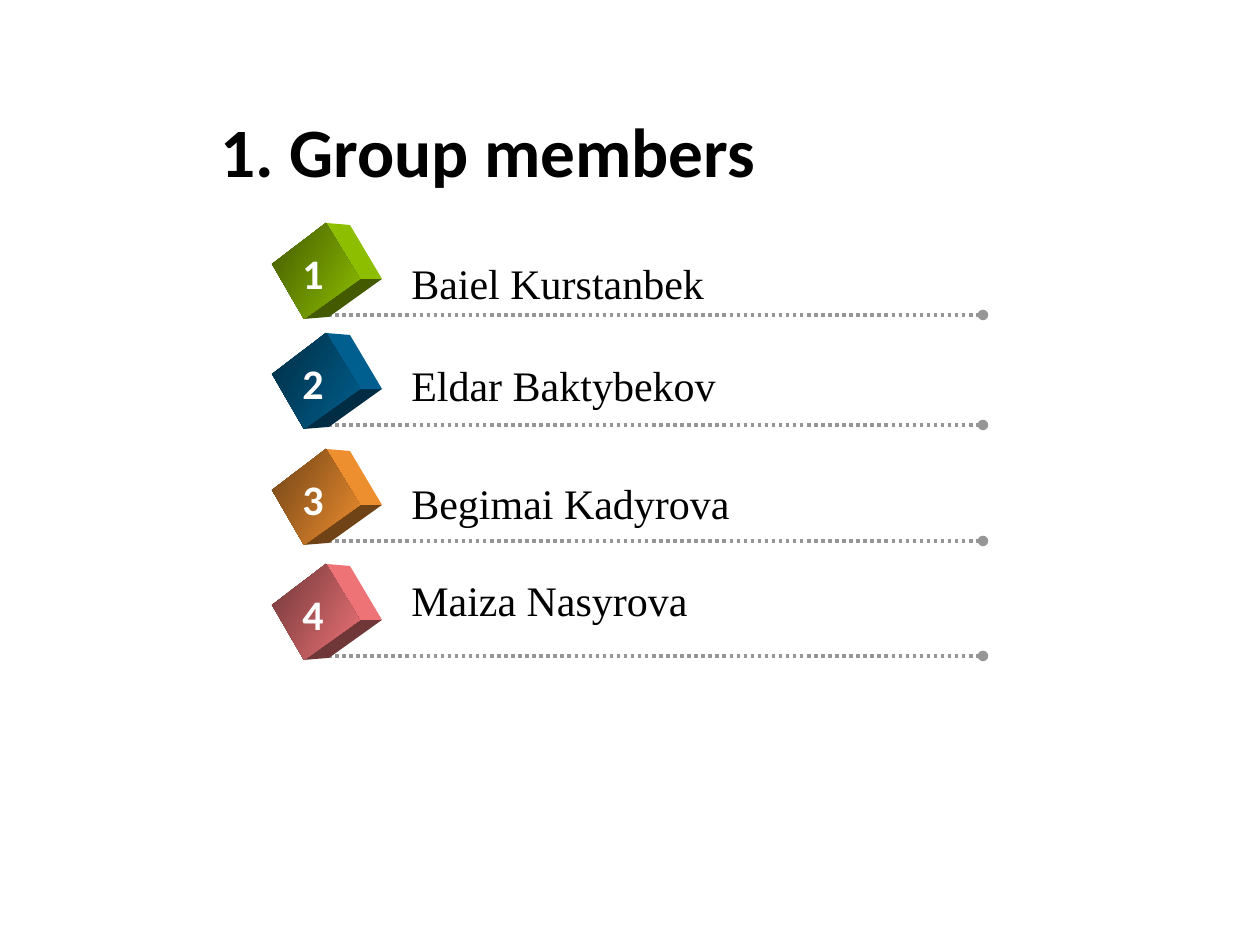
from lxml import etree
from pptx import Presentation
from pptx.dml.color import RGBColor
from pptx.enum.dml import MSO_LINE
from pptx.enum.shapes import MSO_CONNECTOR
from pptx.enum.text import MSO_ANCHOR
from pptx.oxml.ns import qn
from pptx.util import Emu, Pt

STRAIGHT = MSO_CONNECTOR.STRAIGHT
DOTTED = MSO_LINE.ROUND_DOT
TOP = MSO_ANCHOR.TOP
PX = 914400 // 126

FRONT = [(272, 41), (326, 0), (360, 56), (304, 96)]
SIDE = [(326, 0), (350, 2), (382, 56), (360, 56)]
BASE = [(304, 96), (360, 56), (382, 56), (329, 94)]

MEMBERS = [
    ("Baiel Kurstanbek", "99CC00", 223, 251),
    ("Eldar Baktybekov", "006699", 333, 353),
    ("Begimai Kadyrova", "FF9933", 449, 471),
    ("Maiza Nasyrova", "FF7C80", 564, 568),
]


def px(length):
    """Turn pixels into EMU."""
    return Emu(length * PX)


def color(value):
    """Turn a hex string into a colour."""
    return RGBColor.from_string(value)


def shade(value, factor):
    """Darken a hex colour by a factor."""
    channels = (int(value[i:i + 2], 16) for i in (0, 2, 4))
    return "".join(f"{round(channel * factor):02X}" for channel in channels)


def add_text(slide, text, box, size, font, ink, bold=False, wrap=True):
    """Add a one-line text box and return its frame."""
    frame = slide.shapes.add_textbox(*map(px, box)).text_frame
    frame.word_wrap = wrap
    frame.vertical_anchor = TOP
    run = frame.paragraphs[0].add_run()
    run.text = text
    run.font.size = Pt(size)
    run.font.name = font
    run.font.bold = bold
    run.font.color.rgb = color(ink)
    return frame


def add_rule(slide, y):
    """Add a dotted rule that ends in a dot."""
    rule = slide.shapes.add_connector(STRAIGHT, px(321), px(y), px(983), px(y))
    rule.line.color.rgb = color("969696")
    rule.line.width = Pt(2)
    rule.line.dash_style = DOTTED
    outline = rule.line._get_or_add_ln()
    etree.SubElement(outline, qn("a:tailEnd"), type="oval")
    etree.SubElement(rule._element.spPr, qn("a:effectLst"))


def add_face(slide, corners, top, tones):
    """Add one cube face, shaded when it has two tones."""
    points = [(px(x), px(top + y)) for x, y in corners]
    builder = slide.shapes.build_freeform(*points[0])
    builder.add_line_segments(points[1:], close=True)
    face = builder.convert_to_shape()
    face.shadow.inherit = False
    face.line.fill.background()
    if len(tones) == 1:
        face.fill.solid()
        face.fill.fore_color.rgb = color(tones[0])
        return
    face.fill.gradient()
    face.fill.gradient_angle = 330
    for stop, tone, position in zip(face.fill.gradient_stops, tones, (0, 1)):
        stop.color.rgb = color(tone)
        stop.position = position


def add_cube(slide, number, tone, top):
    """Add a numbered cube."""
    bright, dark = shade(tone, 0.93), shade(tone, 0.44)
    add_face(slide, BASE, top, [dark])
    add_face(slide, SIDE, top, [bright])
    add_face(slide, FRONT, top, [dark, bright])
    add_text(slide, str(number), (290, top + 18, 47, 64), 24, "Calibri",
             "FFFFFF", bold=True, wrap=False)


def main():
    """Build the group members slide."""
    deck = Presentation()
    deck.slide_width, deck.slide_height = px(1260), px(945)
    slide = deck.slides.add_slide(deck.slide_layouts[6])
    title = add_text(slide, "1. Group members", (52, 118, 1043, 151), 39.6,
                     "Calibri", "000000", bold=True)
    title.margin_left, title.margin_top = px(168), 0
    title.paragraphs[0].line_spacing = 0.9
    for number, (name, tone, cube_top, name_top) in enumerate(MEMBERS, 1):
        add_rule(slide, cube_top + 92)
        add_cube(slide, number, tone, cube_top)
        add_text(slide, name, (399, name_top, 469, 63), 24,
                 "Times New Roman", "000000")
    deck.save("out.pptx")


if __name__ == "__main__":
    main()
